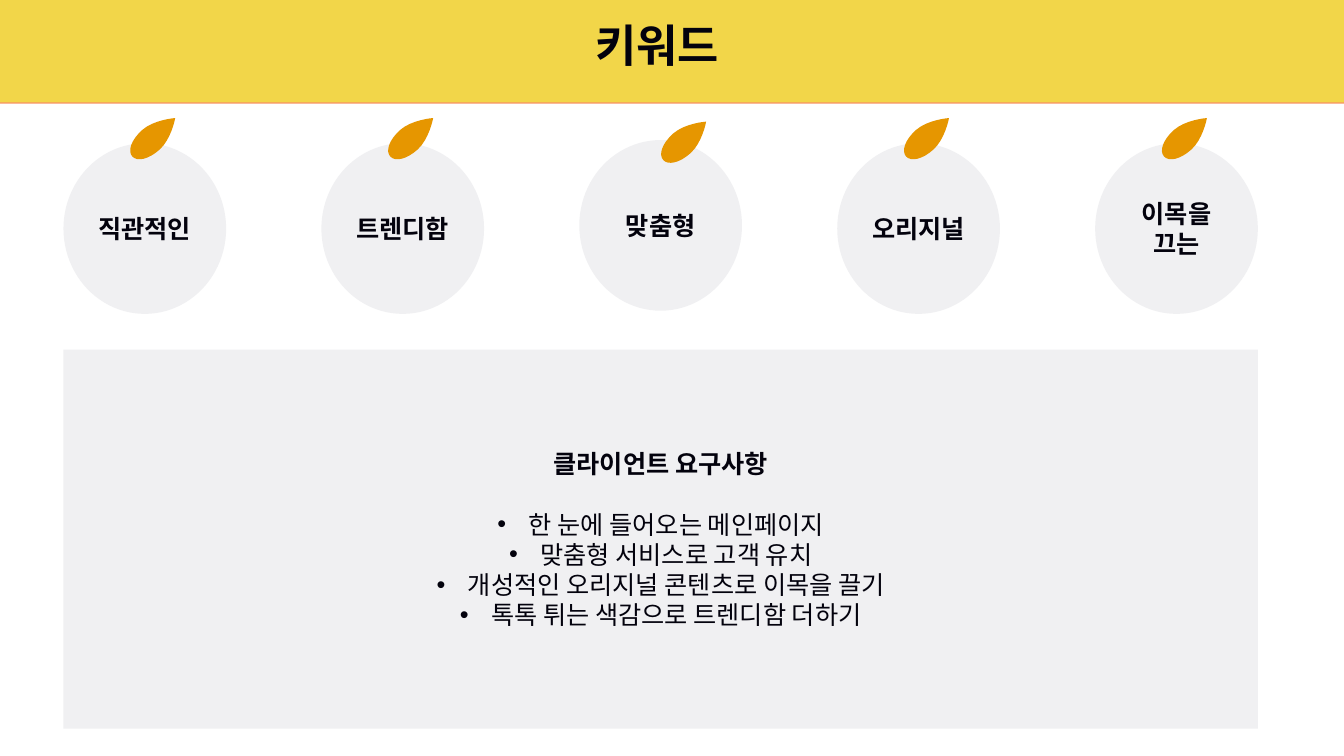
from lxml import etree
from pptx import Presentation
from pptx.dml.color import RGBColor
from pptx.enum.shapes import MSO_SHAPE as Preset
from pptx.enum.text import MSO_ANCHOR as Anchor, PP_ALIGN as Align
from pptx.oxml.ns import qn
from pptx.util import Cm, Pt

COLORS = {
    "band": "F2D649",
    "band_edge": "F89261",
    "panel": "F0F0F2",
    "leaf": "E69600",
    "ink": "03020D",
}
FONT = "Noto Sans CJK KR"
LINE_RATIO = 1.2
KEYWORDS = ["직관적인", "트렌디함", "맞춤형", "오리지널", "이목을 끄는"]
REQUIREMENTS = [
    "한 눈에 들어오는 메인페이지",
    "맞춤형 서비스로 고객 유치",
    "개성적인 오리지널 콘텐츠로 이목을 끌기",
    "톡톡 튀는 색감으로 트렌디함 더하기",
]
MARGIN, KEYWORD_PITCH = 1.6, 6.5
# Leaf lying flat, in cm: a start, then two controls and an end per curve
LEAF_POINTS = [
    (0, 0.33),
    (0, 0.15), (0.25, 0), (0.63, 0),
    (1.01, 0), (1.43, 0.31), (1.45, 0.33),
    (1.43, 0.35), (1.01, 0.66), (0.63, 0.66),
    (0.25, 0.66), (0, 0.51), (0, 0.33),
]
LEAF_ROTATION = 318.2


def paint(shape, color):
    shape.shadow.inherit = False
    shape.fill.solid()
    shape.fill.fore_color.rgb = RGBColor.from_string(COLORS[color])
    shape.line.fill.background()


def add_block(shapes, preset, left, top, width, height, color):
    block = shapes.add_shape(preset, Cm(left), Cm(top), Cm(width), Cm(height))
    paint(block, color)
    block.text_frame.vertical_anchor = Anchor.MIDDLE
    block.text_frame.word_wrap = True
    return block


def write(paragraph, text, size=18, bold=True):
    paragraph.text = text
    paragraph.alignment = Align.CENTER
    paragraph.line_spacing = Pt(size * LINE_RATIO)
    font = paragraph.font
    font.name, font.size, font.bold = FONT, Pt(size), bold
    font.color.rgb = RGBColor.from_string(COLORS["ink"])
    for run in paragraph.runs:
        etree.SubElement(run._r.get_or_add_rPr(), qn("a:ea"), typeface=FONT)


def add_bullet(paragraph):
    properties = paragraph._p.get_or_add_pPr()
    properties.set("marL", str(Cm(0.79)))
    properties.set("indent", str(-Cm(0.79)))
    default_font = properties.find(qn("a:defRPr"))
    default_font.addprevious(etree.Element(qn("a:buFont"), typeface="Arial"))
    default_font.addprevious(etree.Element(qn("a:buChar"), char="•"))


def add_header(shapes):
    band = add_block(shapes, Preset.RECTANGLE, 0, 0, 33.87, 2.58, "band")
    effects = band._element.spPr.find(qn("a:effectLst"))
    edge = etree.SubElement(effects, qn("a:outerShdw"), blurRad="0",
                            dist=str(Pt(1)), dir="5400000", algn="t", rotWithShape="0")
    etree.SubElement(edge, qn("a:srgbClr"), val=COLORS["band_edge"])
    title = shapes.add_textbox(Cm(11.23), Cm(0.32), Cm(10.41), Cm(1.63))
    title.text_frame.word_wrap = True
    write(title.text_frame.paragraphs[0], " 키워드", size=32)


def curve_segments(outline):
    """Turn every three straight segments into one cubic Bézier curve."""
    segments = list(outline._element.iter(qn("a:lnTo")))
    for index in range(0, len(segments), 3):
        curve = etree.Element(qn("a:cubicBezTo"))
        segments[index].addprevious(curve)
        for segment in segments[index:index + 3]:
            curve.append(segment[0])
            segment.getparent().remove(segment)


def add_leaf(shapes, left, top):
    first, *rest = [(Cm(left + x), Cm(top + y)) for x, y in LEAF_POINTS]
    builder = shapes.build_freeform(*first)
    builder.add_line_segments(rest, close=True)
    leaf = builder.convert_to_shape()
    curve_segments(leaf)
    leaf.rotation = LEAF_ROTATION
    paint(leaf, "leaf")


def add_keyword(slide, index, keyword):
    is_middle = index == len(KEYWORDS) // 2
    left = MARGIN + index * KEYWORD_PITCH
    top = 3.53 if is_middle else 3.61
    leaf_dx, leaf_dy = (1.93, -0.31) if is_middle else (1.55, -0.48)
    shapes = slide.shapes.add_group_shape().shapes
    circle = add_block(shapes, Preset.OVAL, left, top, 4.1, 4.3, "panel")
    write(circle.text_frame.paragraphs[0], keyword)
    add_leaf(shapes, left + leaf_dx, top + leaf_dy)


def add_requirements(shapes):
    panel = add_block(shapes, Preset.RECTANGLE, MARGIN, 8.81, 30.1, 9.55, "panel")
    heading = panel.text_frame.paragraphs[0]
    write(heading, "클라이언트 요구사항")
    heading.space_after = Pt(18 * LINE_RATIO)
    for requirement in REQUIREMENTS:
        item = panel.text_frame.add_paragraph()
        write(item, requirement, bold=False)
        add_bullet(item)


def main():
    deck = Presentation()
    deck.slide_width, deck.slide_height = Cm(33.87), Cm(19.05)
    slide = deck.slides.add_slide(deck.slide_layouts[6])
    add_header(slide.shapes)
    for index, keyword in enumerate(KEYWORDS):
        add_keyword(slide, index, keyword)
    add_requirements(slide.shapes)
    deck.save("out.pptx")


if __name__ == "__main__":
    main()
